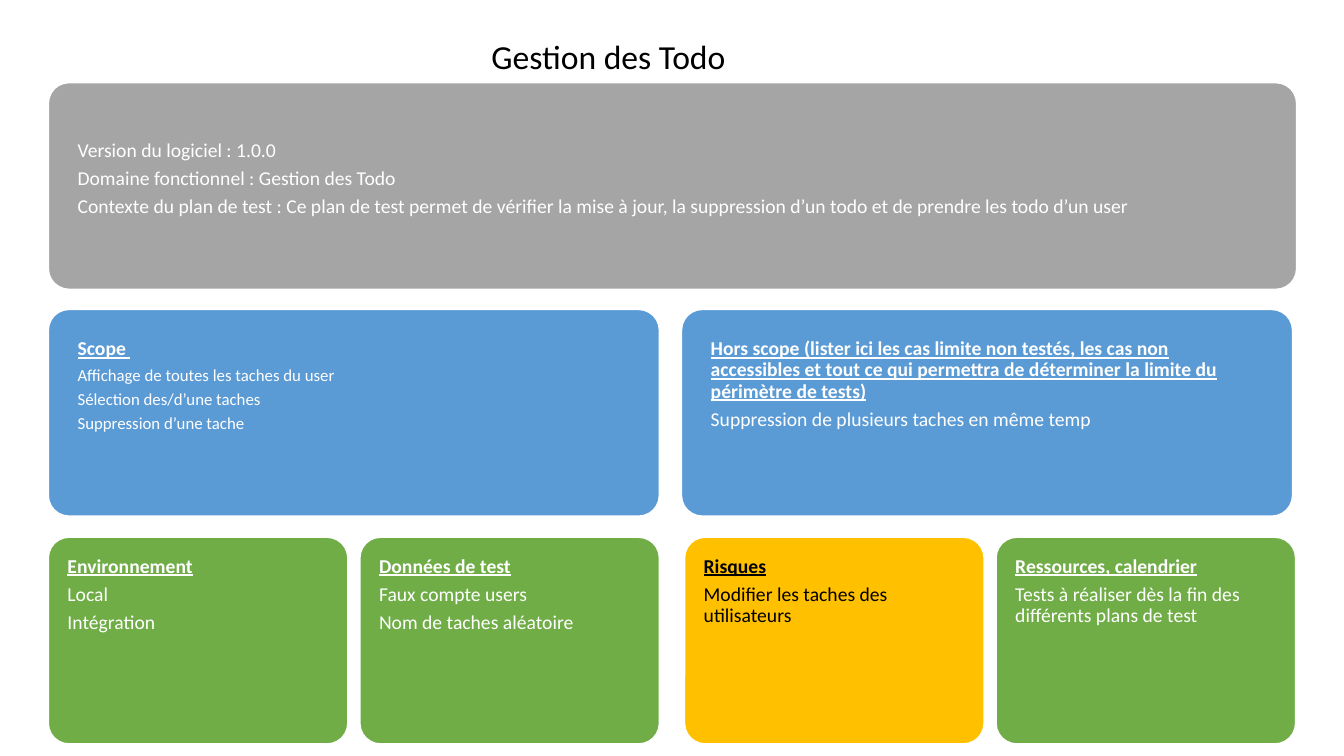
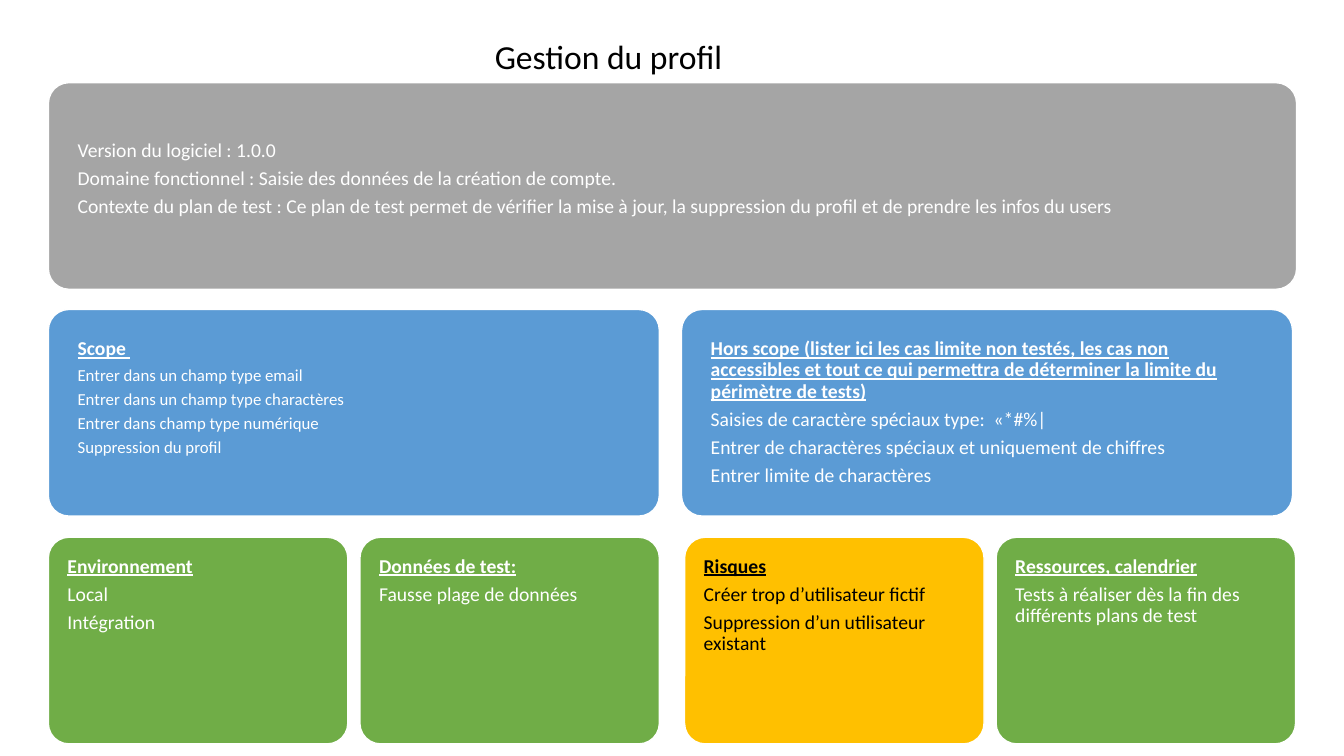
from pptx import Presentation
from pptx.dml.color import RGBColor
from pptx.enum.shapes import MSO_SHAPE
from pptx.enum.text import MSO_ANCHOR, PP_ALIGN
from pptx.util import Inches, Pt

FONT = "Calibri"
WHITE, BLACK = "FFFFFF", "000000"
GREY, BLUE, GREEN, YELLOW = "A5A5A5", "5B9BD5", "70AD47", "FFC000"
LEFT, BANNER_WIDTH = 0.48, 12.38
BANNER_TOP, SCOPE_TOP, CARD_TOP = 0.82, 3.07, 5.33
ROW_HEIGHT = 2.05
HALF_WIDTH, CARD_GAP = 6.06, 0.12
CARD_WIDTH = (HALF_WIDTH - CARD_GAP) / 2
OUT_OF_SCOPE_LEFT, RIGHT_CARDS_LEFT = 6.76, 6.79
CORNER = 0.1
WIDE_INSET, CARD_INSET = 0.23, 0.13
BANNER_TEXT_DROP = 0.28
OUT_OF_SCOPE = (
    "Hors scope (lister ici les cas limite non testés, les cas non accessibles "
    "et tout ce qui permettra de déterminer la limite du périmètre de tests)"
)

PLANS = [
    {
        "title": "Gestion des Todo",
        "summary": [
            "Version du logiciel : 1.0.0",
            "Domaine fonctionnel : Gestion des Todo",
            "Contexte du plan de test : Ce plan de test permet de vérifier la mise à jour, "
            "la suppression d’un todo et de prendre les todo d’un user",
        ],
        "scope": [
            "Affichage de toutes les taches du user",
            "Sélection des/d’une taches",
            "Suppression d’une tache",
        ],
        "out_of_scope": ["Suppression de plusieurs taches en même temp"],
        "data_heading": "Données de test",
        "data": ["Faux compte users", "Nom de taches aléatoire"],
        "risks": ["Modifier les taches des utilisateurs"],
    },
    {
        "title": "Gestion du profil",
        "summary": [
            "Version du logiciel : 1.0.0",
            "Domaine fonctionnel : Saisie des données de la création de compte.",
            "Contexte du plan de test : Ce plan de test permet de vérifier la mise à jour, "
            "la suppression du profil et de prendre les infos du users",
        ],
        "scope": [
            "Entrer dans un champ type email",
            "Entrer dans un champ type charactères",
            "Entrer dans champ type numérique",
            "Suppression du profil",
        ],
        "out_of_scope": [
            "Saisies de caractère spéciaux type:  «*#%|",
            "Entrer de charactères spéciaux et uniquement de chiffres",
            "Entrer limite de charactères",
        ],
        "data_heading": "Données de test:",
        "data": ["Fausse plage de données"],
        "risks": [
            "Créer trop d’utilisateur fictif",
            "Suppression d’un utilisateur existant",
        ],
    },
]


def rgb(hex_color):
    """Turn a hex string into a colour."""
    return RGBColor.from_string(hex_color)


def style_paragraph(paragraph, size, color, heading=False):
    """Apply the shared font and spacing to one paragraph."""
    paragraph.line_spacing = 0.9
    paragraph.space_after = Pt(size * 0.35)
    for run in paragraph.runs:
        run.font.name = FONT
        run.font.size = Pt(size)
        run.font.color.rgb = rgb(color)
        run.font.bold = heading
        run.font.underline = heading


def add_title(slide, title):
    """Place the centred slide title."""
    box = slide.shapes.add_textbox(Inches(2.7), Inches(0.35), Inches(6.67), Inches(0.46))
    frame = box.text_frame
    frame.word_wrap = True
    frame.text = title
    frame.paragraphs[0].alignment = PP_ALIGN.CENTER
    style_paragraph(frame.paragraphs[0], 24, BLACK)


def add_panel(slide, box, fill, lines, heading=None, inset=WIDE_INSET,
              color=WHITE, size=14, text_drop=0):
    """Place a rounded panel with an optional underlined heading above its lines."""
    panel = slide.shapes.add_shape(MSO_SHAPE.ROUNDED_RECTANGLE, *map(Inches, box))
    panel.adjustments[0] = CORNER
    panel.shadow.inherit = False
    panel.fill.solid()
    panel.fill.fore_color.rgb = rgb(fill)
    panel.line.color.rgb = rgb(WHITE)
    panel.line.width = Pt(1)
    frame = panel.text_frame
    frame.word_wrap = True
    frame.vertical_anchor = MSO_ANCHOR.TOP
    frame.margin_left = frame.margin_right = frame.margin_bottom = Inches(inset)
    frame.margin_top = Inches(inset + text_drop)
    frame.text = "\n".join(([heading] if heading else []) + lines)
    for index, paragraph in enumerate(frame.paragraphs):
        is_heading = bool(heading) and index == 0
        paragraph.alignment = PP_ALIGN.LEFT
        style_paragraph(paragraph, 14 if is_heading else size, color, is_heading)


def add_card_pair(slide, left, cards):
    """Place two cards side by side across half of the bottom row."""
    for index, (heading, lines, fill, color) in enumerate(cards):
        card_left = left + index * (CARD_WIDTH + CARD_GAP)
        add_panel(slide, (card_left, CARD_TOP, CARD_WIDTH, ROW_HEIGHT), fill, lines,
                  heading, CARD_INSET, color)


def add_plan_slide(deck, plan):
    """Build one test plan slide."""
    slide = deck.slides.add_slide(deck.slide_layouts[6])
    add_panel(slide, (LEFT, BANNER_TOP, BANNER_WIDTH, ROW_HEIGHT), GREY,
              plan["summary"], text_drop=BANNER_TEXT_DROP)
    add_panel(slide, (LEFT, SCOPE_TOP, HALF_WIDTH, ROW_HEIGHT), BLUE,
              plan["scope"], "Scope ", size=12)
    add_panel(slide, (OUT_OF_SCOPE_LEFT, SCOPE_TOP, HALF_WIDTH, ROW_HEIGHT), BLUE,
              plan["out_of_scope"], OUT_OF_SCOPE)
    add_card_pair(slide, LEFT, [
        ("Environnement", ["Local", "Intégration"], GREEN, WHITE),
        (plan["data_heading"], plan["data"], GREEN, WHITE),
    ])
    add_card_pair(slide, RIGHT_CARDS_LEFT, [
        ("Risques", plan["risks"], YELLOW, BLACK),
        ("Ressources, calendrier",
         ["Tests à réaliser dès la fin des différents plans de test"], GREEN, WHITE),
    ])
    add_title(slide, plan["title"])


def main():
    """Build and save the deck."""
    deck = Presentation()
    deck.slide_width, deck.slide_height = Inches(13.33), Inches(7.5)
    for plan in PLANS:
        add_plan_slide(deck, plan)
    deck.save("out.pptx")


if __name__ == "__main__":
    main()
